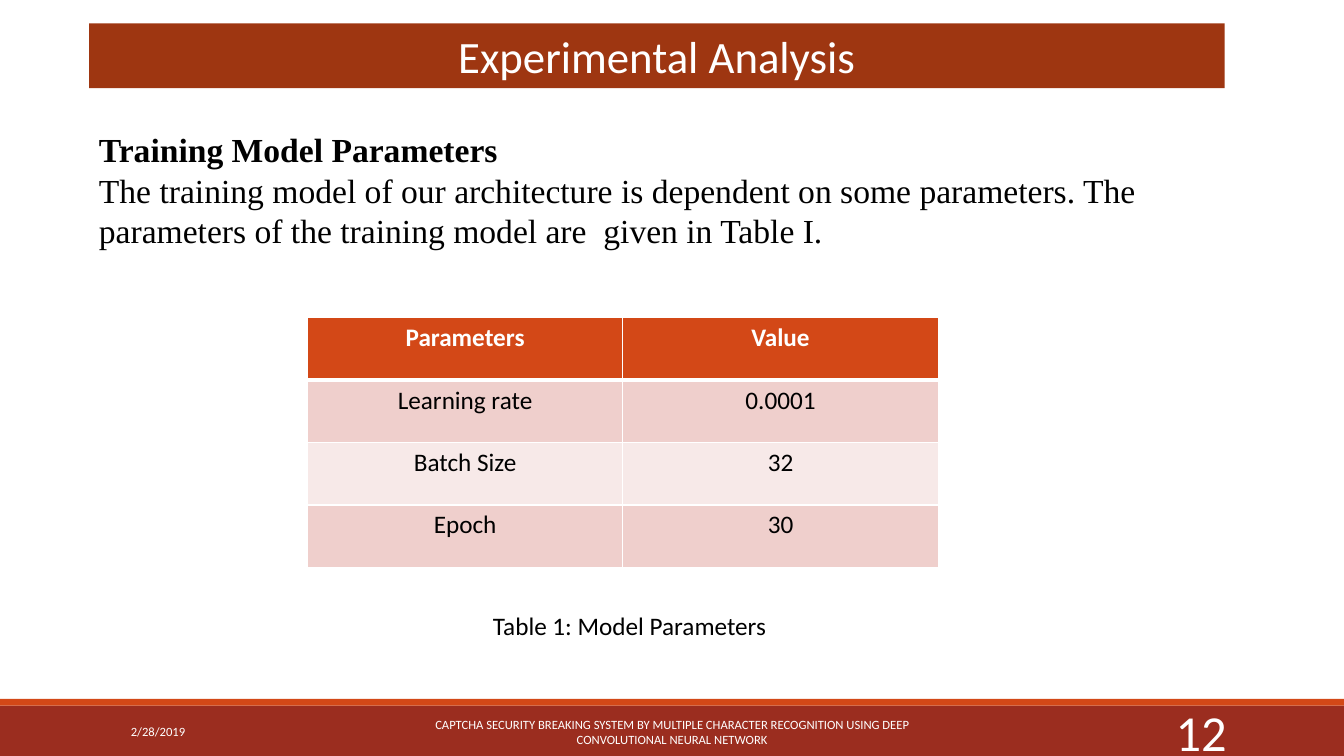
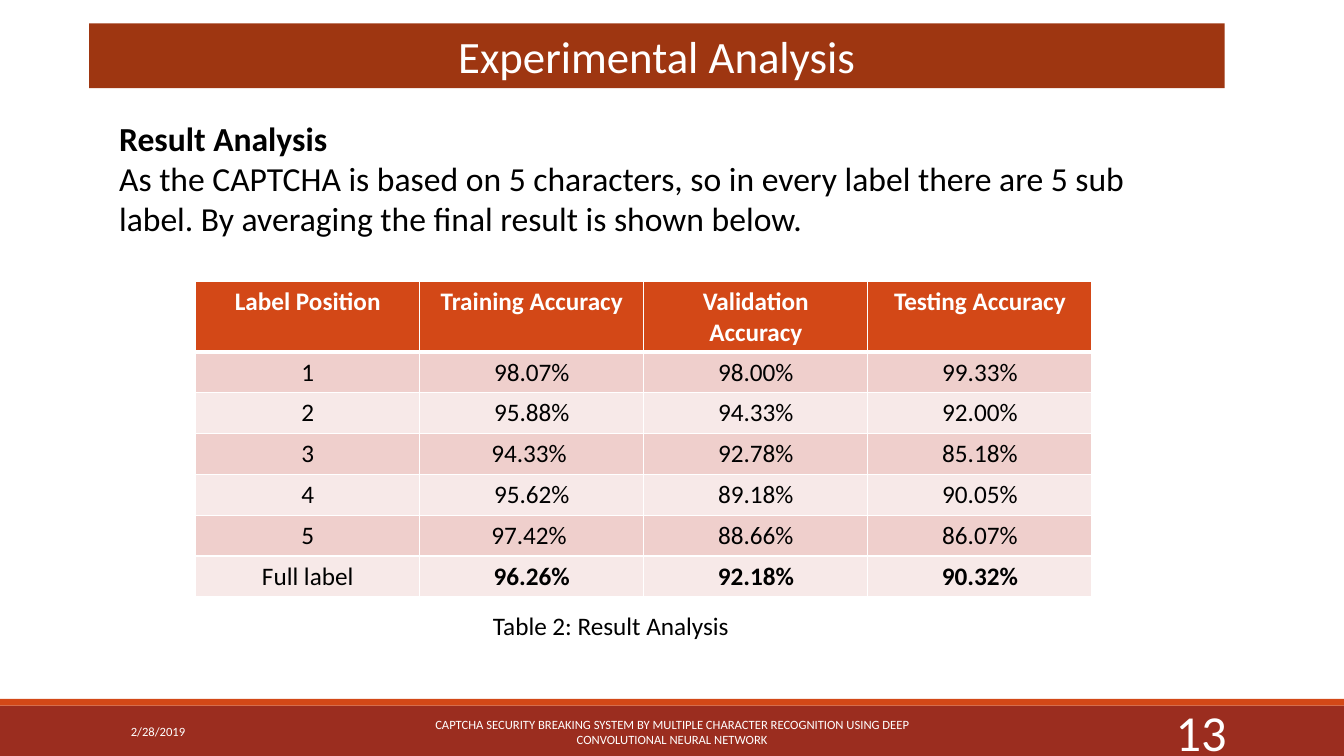
from dataclasses import dataclass

from lxml.etree import SubElement
from pptx import Presentation
from pptx.dml.color import RGBColor
from pptx.enum.shapes import MSO_SHAPE as Preset
from pptx.enum.text import MSO_ANCHOR as Anchor, PP_ALIGN as Align
from pptx.oxml.ns import qn
from pptx.util import Inches, Pt

# The slide is a grid of 160 columns by 90 rows of square cells.
COLUMNS, ROWS = 160, 90
CELL = Inches(1) // 12


@dataclass(frozen=True)
class Theme:
    title_fill: str = "9E3611"
    accent: str = "D34817"
    footer_fill: str = "9B2D1F"
    row_fills: tuple[str, str] = ("EFCFCC", "F7E9E8")
    light: str = "FFFFFF"
    dark: str = "000000"
    font: str = "Calibri"
    serif: str = "Times New Roman"
    title_size: int = 32
    body_size: int = 24
    table_size: int = 18
    footer_size: int = 9
    number_size: int = 36
    border: int = 1
    header_border: int = 3


THEME = Theme()


@dataclass(frozen=True)
class Box:
    column: float
    row: float
    width: float
    height: float

    def emu(self) -> tuple[int, ...]:
        return tuple(round(cells * CELL) for cells in
                     (self.column, self.row, self.width, self.height))


@dataclass(frozen=True)
class TextStyle:
    size: int
    color: str = THEME.dark
    bold: bool = False
    font: str = THEME.font
    align: Align = Align.LEFT


@dataclass(frozen=True)
class Table:
    column: float
    row: float
    width: float
    header_height: float
    row_height: float
    cells: tuple[tuple[str, ...], ...]
    bold_total: bool = False


@dataclass(frozen=True)
class Page:
    number: int
    heading: str
    body: str
    body_font: str
    body_box: Box
    table: Table
    caption: str


TITLE = "Experimental Analysis"
DATE = "2/28/2019"
FOOTER = ("CAPTCHA SECURITY BREAKING SYSTEM BY MULTIPLE CHARACTER RECOGNITION "
          "USING DEEP CONVOLUTIONAL NEURAL NETWORK")
TITLE_BOX = Box(10.6, 2.8, 135.2, 7.7)
CAPTION_BOX = Box(57.5, 72.1, 35.2, 4.8)
BANDS = (
    (Box(0, 84, COLUMNS, ROWS - 84), THEME.footer_fill),
    (Box(0, 83.2, COLUMNS, 0.8), THEME.accent),
)

PAGES = (
    Page(
        12, "Training Model Parameters",
        "The training model of our architecture is dependent on some parameters. "
        "The parameters of the training model are  given in Table I.",
        THEME.serif, Box(10.6, 14.8, 133.7, 23),
        Table(36.6, 37.8, 75.1, 7.44, 7.44, (
            ("Parameters", "Value"),
            ("Learning rate", "0.0001"),
            ("Batch Size", "32"),
            ("Epoch", "30"),
        )),
        "Table 1: Model Parameters",
    ),
    Page(
        13, "Result Analysis",
        "As the CAPTCHA is based on 5 characters, so in every label there are 5 sub "
        "label. By averaging the final result is shown below.",
        THEME.font, Box(13, 13.4, 125.5, 15.7),
        Table(23.3, 33.5, 106.7, 8.4, 4.86, (
            ("Label Position", "Training Accuracy", "Validation Accuracy",
             "Testing Accuracy"),
            ("1", "98.07%", "98.00%", "99.33%"),
            ("2", "95.88%", "94.33%", "92.00%"),
            ("3", "94.33% ", "92.78%", "85.18%"),
            ("4", "95.62%", "89.18%", "90.05%"),
            ("5", "97.42% ", "88.66%", "86.07%"),
            ("Full label", "96.26%", "92.18%", "90.32%"),
        ), bold_total=True),
        "Table 2: Result Analysis",
    ),
)


def write_paragraph(paragraph, text: str, style: TextStyle) -> None:
    paragraph.alignment = style.align
    run = paragraph.add_run()
    run.text = text
    formats = {"name": style.font, "size": Pt(style.size), "bold": style.bold}
    for name, value in formats.items():
        setattr(run.font, name, value)
    run.font.color.rgb = RGBColor.from_string(style.color)


def write_lines(frame, lines, anchor: Anchor = Anchor.TOP) -> None:
    """Fill a text frame with one paragraph for each (text, style) pair."""
    frame.word_wrap = True
    frame.vertical_anchor = anchor
    for index, (text, style) in enumerate(lines):
        paragraph = frame.add_paragraph() if index else frame.paragraphs[0]
        write_paragraph(paragraph, text, style)


def add_text(slide, box: Box, *lines, anchor: Anchor = Anchor.TOP) -> None:
    write_lines(slide.shapes.add_textbox(*box.emu()).text_frame, lines, anchor)


def add_band(slide, box: Box, color: str):
    band = slide.shapes.add_shape(Preset.RECTANGLE, *box.emu())
    band.shadow.inherit = False
    band.fill.solid()
    band.fill.fore_color.rgb = RGBColor.from_string(color)
    band.line.fill.background()
    return band


def add_frame(slide, number: int) -> None:
    """Draw what every slide shares: footer bands, footer texts and title bar."""
    for box, color in BANDS:
        add_band(slide, box, color)
    size, light = THEME.footer_size, THEME.light
    footers = (
        (14.4, 32.4, DATE, TextStyle(size, light)),
        (48.4, 63.2, FOOTER, TextStyle(size, light, align=Align.CENTER)),
        (130, 17.2, str(number),
         TextStyle(THEME.number_size, light, align=Align.RIGHT)),
    )
    for column, width, text, style in footers:
        add_text(slide, Box(column, 84.7, width, 4.8), (text, style),
                 anchor=Anchor.MIDDLE)
    title = add_band(slide, TITLE_BOX, THEME.title_fill)
    title_style = TextStyle(THEME.title_size, light, align=Align.CENTER)
    write_lines(title.text_frame, [(TITLE, title_style)])


def add_borders(cell, top: int, bottom: int) -> None:
    properties = cell._tc.get_or_add_tcPr()
    widths = {"lnL": THEME.border, "lnR": THEME.border, "lnT": top, "lnB": bottom}
    for tag, width in widths.items():
        line = SubElement(properties, qn(f"a:{tag}"), w=str(Pt(width)))
        fill = SubElement(line, qn("a:solidFill"))
        SubElement(fill, qn("a:srgbClr"), val=THEME.light)


def add_table(slide, table: Table) -> None:
    row_count, column_count = len(table.cells), len(table.cells[0])
    height = table.header_height + (row_count - 1) * table.row_height
    box = Box(table.column, table.row, table.width, height)
    grid = slide.shapes.add_table(row_count, column_count, *box.emu()).table
    for row_index, texts in enumerate(table.cells):
        header = row_index == 0
        total = table.bold_total and row_index == row_count - 1
        row_height = table.header_height if header else table.row_height
        grid.rows[row_index].height = round(row_height * CELL)
        fill = THEME.accent if header else THEME.row_fills[(row_index - 1) % 2]
        for column_index, text in enumerate(texts):
            cell = grid.cell(row_index, column_index)
            add_borders(
                cell,
                top=THEME.header_border if row_index == 1 else THEME.border,
                bottom=THEME.header_border if header else THEME.border,
            )
            cell.fill.solid()
            cell.fill.fore_color.rgb = RGBColor.from_string(fill)
            style = TextStyle(
                THEME.table_size,
                THEME.light if header else THEME.dark,
                bold=header or (total and column_index > 0),
                align=Align.CENTER,
            )
            write_paragraph(cell.text_frame.paragraphs[0], text, style)


def add_page(presentation, page: Page) -> None:
    slide = presentation.slides.add_slide(presentation.slide_layouts[6])
    add_frame(slide, page.number)
    add_text(
        slide, page.body_box,
        (page.heading, TextStyle(THEME.body_size, bold=True, font=page.body_font)),
        (page.body, TextStyle(THEME.body_size, font=page.body_font)),
    )
    add_table(slide, page.table)
    add_text(slide, CAPTION_BOX, (page.caption, TextStyle(THEME.table_size)))


def main() -> None:
    presentation = Presentation()
    presentation.slide_width = COLUMNS * CELL
    presentation.slide_height = ROWS * CELL
    for page in PAGES:
        add_page(presentation, page)
    presentation.save("out.pptx")


if __name__ == "__main__":
    main()
